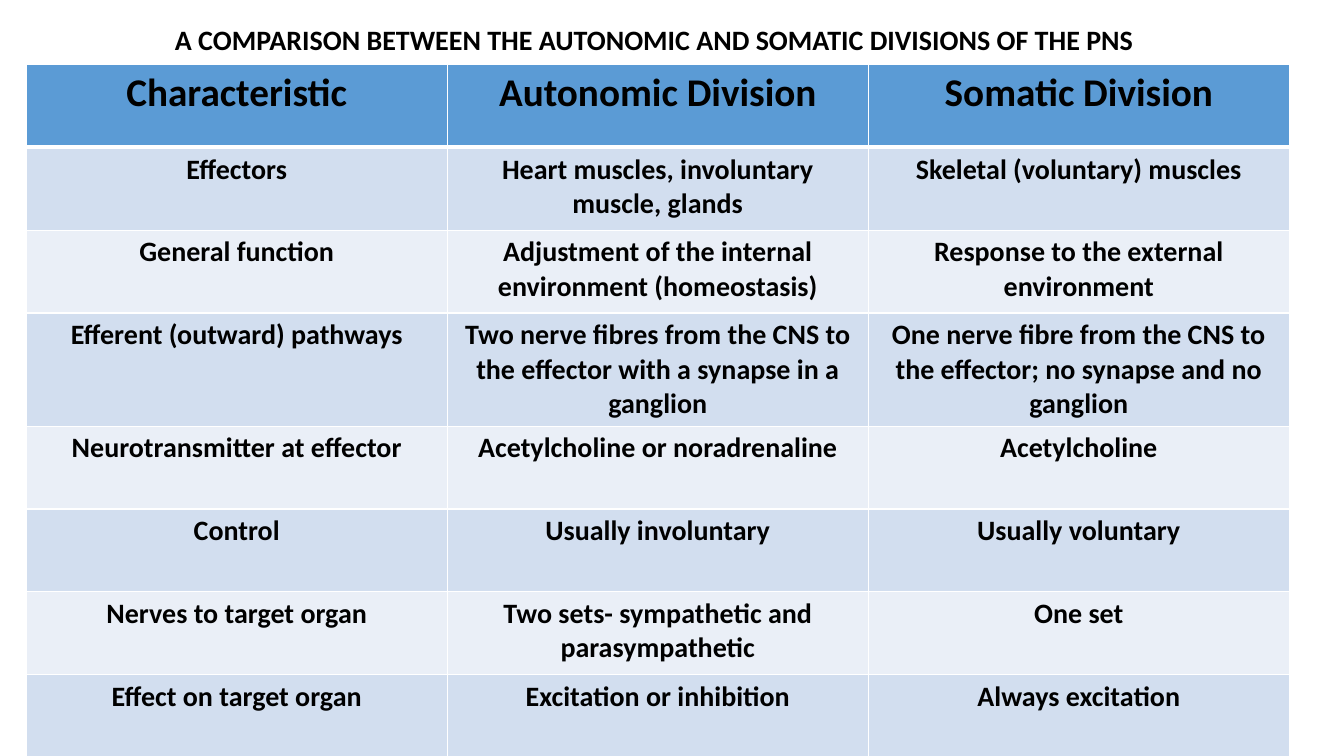
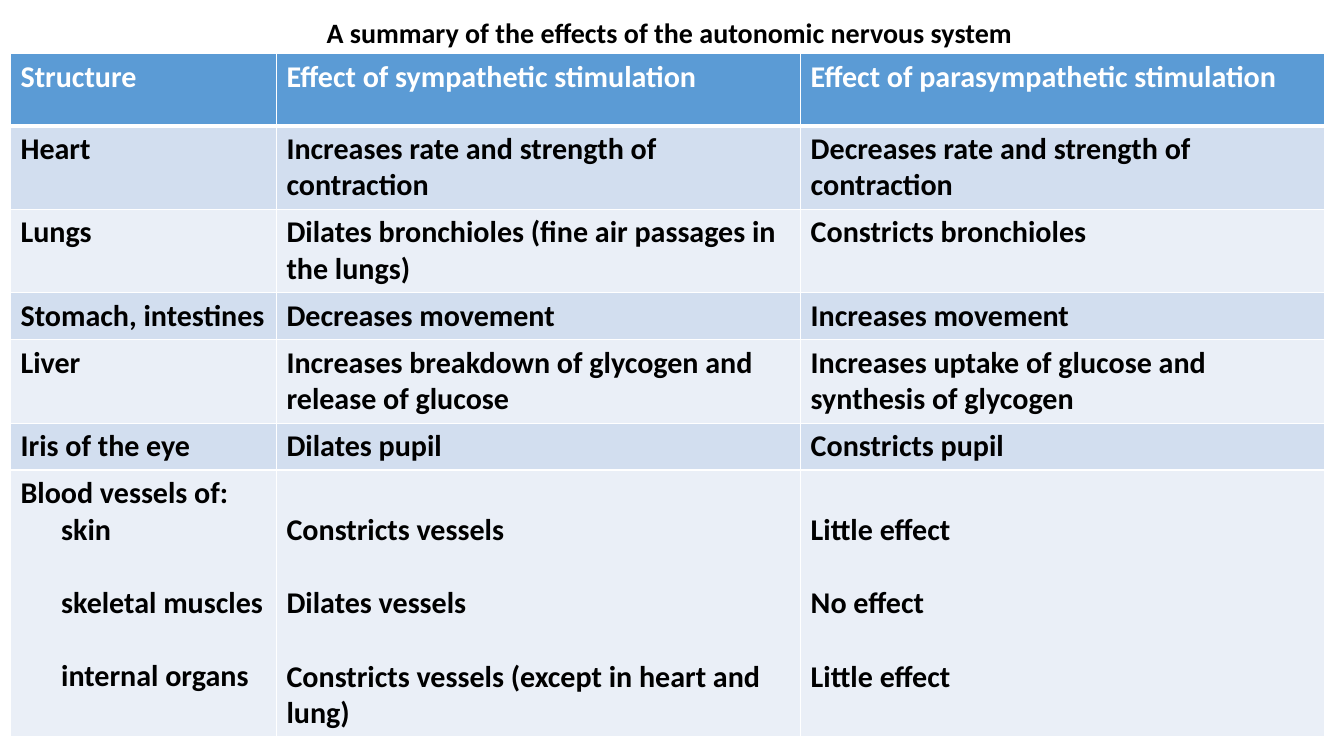
from dataclasses import dataclass

import lxml.etree
import pptx
import pptx.dml.color
import pptx.enum.text
import pptx.oxml.ns
import pptx.presentation
import pptx.slide
import pptx.table
import pptx.text.text
import pptx.util

Pt = pptx.util.Pt
RGBColor = pptx.dml.color.RGBColor
PP_ALIGN = pptx.enum.text.PP_ALIGN
qn = pptx.oxml.ns.qn

FONT = "Calibri"
COLORS = {
    "text": "000000",
    "white": "FFFFFF",
    "header": "5B9BD5",
    "odd_row": "D2DEEF",
    "even_row": "EAEFF7",
}
TITLE_SIZE = 20
TITLE_HEIGHT = 31.7
RULE = 1
HEADER_RULE = 3
CELL_MARGIN = 3.6
VESSEL_LINE = 26.25  # height of one text line at 21.5 pt


@dataclass(frozen=True)
class Line:
    text: str
    indent: float = 0
    before: float = 0


@dataclass(frozen=True)
class Entry:
    """A cell's lines, starting `drop` points below the usual top margin."""
    lines: tuple[Line, ...]
    drop: float = 0


@dataclass(frozen=True)
class TableSlide:
    title: str
    title_left: float
    title_top: float
    title_width: float
    left: float
    top: float
    column_widths: tuple[float, ...]
    row_heights: tuple[float, ...]
    header_size: float
    body_size: float
    header_color: str
    align: PP_ALIGN
    rows: tuple[tuple[str | Entry, ...], ...]


def vessel_effects(*effects: str) -> Entry:
    """Effects level with the vessel names, below their heading line."""
    return Entry(tuple(Line(effect, before=VESSEL_LINE if i else 0)
                       for i, effect in enumerate(effects)), drop=VESSEL_LINE)


DIVISIONS = TableSlide(
    title="A COMPARISON BETWEEN THE AUTONOMIC AND SOMATIC DIVISIONS OF THE PNS",
    title_left=8.5, title_top=12.25, title_width=918,
    left=18.75, top=46,
    column_widths=(300.75,) * 3,
    row_heights=(59.2,) * 3 + (80.8,) + (59.2,) * 4,
    header_size=28, body_size=20,
    header_color="text", align=PP_ALIGN.CENTER,
    rows=(
        ("Characteristic", "Autonomic Division", "Somatic Division"),
        ("Effectors", "Heart muscles, involuntary muscle, glands",
         "Skeletal (voluntary) muscles"),
        ("General function",
         "Adjustment of the internal environment (homeostasis)",
         "Response to the external environment"),
        ("Efferent (outward) pathways",
         "Two nerve fibres from the CNS to the effector with a synapse in a ganglion",
         "One nerve fibre from the CNS to the effector; no synapse and no ganglion"),
        ("Neurotransmitter at effector", "Acetylcholine or noradrenaline",
         "Acetylcholine"),
        ("Control", "Usually involuntary", "Usually voluntary"),
        ("Nerves to target organ", "Two sets- sympathetic and parasympathetic",
         "One set"),
        ("Effect on target organ", "Excitation or inhibition",
         "Always excitation"),
    ),
)

EFFECTS = TableSlide(
    title="A summary of the effects of the autonomic nervous system",
    title_left=21, title_top=7.2, title_width=914.4,
    left=7.5, top=38.3,
    column_widths=(190, 374.4, 374.4),
    row_heights=(51.5, 59.7, 59.7, 33.4, 59.7, 33.4, 190.8),
    header_size=21.5, body_size=21.5,
    header_color="white", align=PP_ALIGN.LEFT,
    rows=(
        ("Structure", "Effect of sympathetic stimulation",
         "Effect of parasympathetic stimulation"),
        ("Heart", "Increases rate and strength of contraction",
         "Decreases rate and strength of contraction"),
        ("Lungs", "Dilates bronchioles (fine air passages in the lungs)",
         "Constricts bronchioles"),
        ("Stomach, intestines", "Decreases movement", "Increases movement"),
        ("Liver", "Increases breakdown of glycogen and release of glucose",
         "Increases uptake of glucose and synthesis of glycogen"),
        ("Iris of the eye", "Dilates pupil", "Constricts pupil"),
        (Entry((Line("Blood vessels of:"),
                Line("skin", indent=29),
                Line("skeletal muscles", indent=29, before=VESSEL_LINE),
                Line("internal organs", indent=29, before=VESSEL_LINE))),
         vessel_effects("Constricts vessels", "Dilates vessels",
                        "Constricts vessels (except in heart and lung)"),
         vessel_effects("Little effect", "No effect", "Little effect")),
    ),
)


def format_paragraph(paragraph: pptx.text.text._Paragraph, size: float,
                     color: str, align: PP_ALIGN) -> None:
    paragraph.alignment = align
    font = paragraph.font
    font.name = FONT
    font.size = Pt(size)
    font.bold = True
    font.color.rgb = RGBColor.from_string(COLORS[color])


def add_title(slide: pptx.slide.Slide, content: TableSlide) -> None:
    title = slide.shapes.title
    title.left, title.top = Pt(content.title_left), Pt(content.title_top)
    title.width, title.height = Pt(content.title_width), Pt(TITLE_HEIGHT)
    frame = title.text_frame
    frame.text = content.title
    frame.word_wrap = True
    frame.auto_size = pptx.enum.text.MSO_AUTO_SIZE.NONE
    frame.vertical_anchor = pptx.enum.text.MSO_ANCHOR.TOP
    format_paragraph(frame.paragraphs[0], TITLE_SIZE, "text", PP_ALIGN.CENTER)


def set_borders(cell: pptx.table._Cell, row: int) -> None:
    """Draw white rules, with a heavier one between header and body."""
    widths = {
        "a:lnL": RULE,
        "a:lnR": RULE,
        "a:lnT": HEADER_RULE if row == 1 else RULE,
        "a:lnB": HEADER_RULE if row == 0 else RULE,
    }
    properties = cell._tc.get_or_add_tcPr()
    for tag, width in widths.items():
        rule = lxml.etree.SubElement(properties, qn(tag), w=str(Pt(width)))
        fill = lxml.etree.SubElement(rule, qn("a:solidFill"))
        lxml.etree.SubElement(fill, qn("a:srgbClr"), val=COLORS["white"])


def fill_cell(cell: pptx.table._Cell, entry: str | Entry, row: int,
              content: TableSlide) -> None:
    if isinstance(entry, str):
        entry = Entry((Line(entry),))
    if row == 0:
        size, color, band = content.header_size, content.header_color, "header"
    else:
        size, color = content.body_size, "text"
        band = "odd_row" if row % 2 else "even_row"

    set_borders(cell, row)
    cell.fill.solid()
    cell.fill.fore_color.rgb = RGBColor.from_string(COLORS[band])
    cell.margin_top = Pt(CELL_MARGIN + entry.drop)

    frame = cell.text_frame
    for i, line in enumerate(entry.lines):
        paragraph = frame.add_paragraph() if i else frame.paragraphs[0]
        paragraph.text = line.text
        if line.indent:
            paragraph._p.get_or_add_pPr().set("marL", str(Pt(line.indent)))
        if line.before:
            paragraph.space_before = Pt(line.before)
        format_paragraph(paragraph, size, color, content.align)


def add_comparison(slide: pptx.slide.Slide, content: TableSlide) -> None:
    comparison = slide.shapes.add_table(
        len(content.rows), len(content.column_widths),
        Pt(content.left), Pt(content.top),
        Pt(sum(content.column_widths)), Pt(sum(content.row_heights))).table
    for column, width in zip(comparison.columns, content.column_widths):
        column.width = Pt(width)
    for row, height in zip(comparison.rows, content.row_heights):
        row.height = Pt(height)
    for r, entries in enumerate(content.rows):
        for c, entry in enumerate(entries):
            fill_cell(comparison.cell(r, c), entry, r, content)


def add_table_slide(deck: pptx.presentation.Presentation,
                    content: TableSlide) -> None:
    slide = deck.slides.add_slide(deck.slide_layouts.get_by_name("Title Only"))
    add_title(slide, content)
    add_comparison(slide, content)


def main() -> None:
    deck = pptx.Presentation()
    deck.slide_width, deck.slide_height = Pt(960), Pt(540)
    for content in (DIVISIONS, EFFECTS):
        add_table_slide(deck, content)
    deck.save("out.pptx")


if __name__ == "__main__":
    main()
